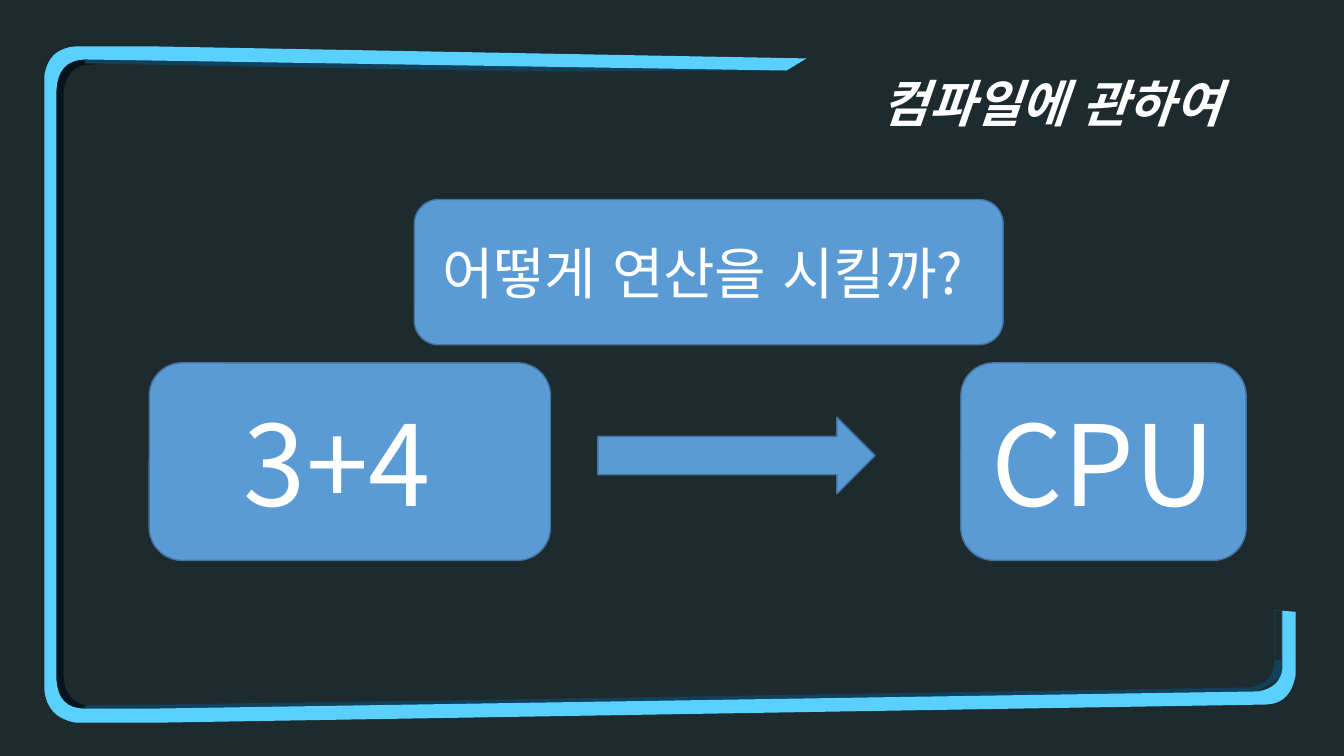
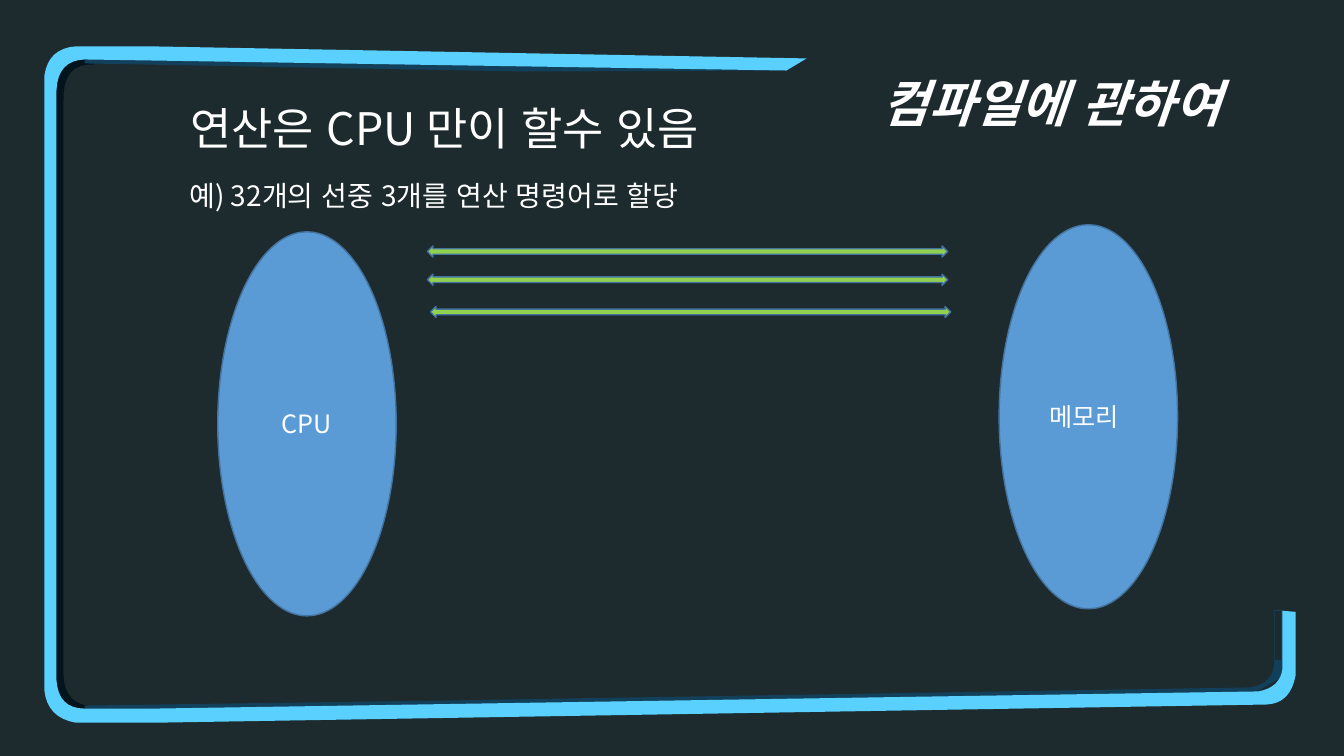
from lxml import etree
from pptx import Presentation
from pptx.dml.color import RGBColor
from pptx.enum.lang import MSO_LANGUAGE_ID
from pptx.enum.shapes import MSO_SHAPE
from pptx.enum.text import MSO_ANCHOR, PP_ALIGN
from pptx.oxml.ns import qn
from pptx.util import Inches, Pt

ROUND, OVAL = MSO_SHAPE.ROUNDED_RECTANGLE, MSO_SHAPE.OVAL
ARROW, DOUBLE = MSO_SHAPE.RIGHT_ARROW, MSO_SHAPE.LEFT_RIGHT_ARROW
CENTER, MIDDLE = PP_ALIGN.CENTER, MSO_ANCHOR.MIDDLE
KOREAN = MSO_LANGUAGE_ID.KOREAN

FONT = "Noto Sans CJK KR"
BACK, WHITE = "1D2B2E", "FFFFFF"
BLUE, EDGE, GREEN = "5B9BD5", "43739E", "92D050"
TITLE = "컴파일에 관하여"

# Frame outlines in inches: (x, y) is a corner,
# (cx, cy, x, y) a curve around a control point.
FRAME = [
    ("04141C", [(0.94, 0.59), (0.94, 0.64), (0.62, 0.62, 0.63, 1),
                (0.63, 6.7), (0.64, 7, 0.94, 7.01), (0.8, 7.05),
                (0.5, 7), (0.5, 0.6)]),
    ("12405A", [(0.84, 0.58), (7.8, 0.7), (5.2, 0.71), (0.84, 0.63)]),
    ("12405A", [(0.84, 7), (4.4, 6.95), (12.4, 6.82),
                (12.64, 6.78, 12.64, 6.55), (12.64, 6.05), (12.74, 6.05),
                (12.74, 6.7), (12.4, 6.9), (0.84, 7.06)]),
    (BACK, [(12.65, 6.06), (12.71, 6.06), (12.71, 6.55), (12.65, 6.55)]),
    ("5AD0FF", [(0.75, 0.46), (1.5, 0.46), (8, 0.58), (7.8, 0.7),
                (0.84, 0.59), (0.57, 0.6, 0.56, 0.9), (0.56, 6.75),
                (0.58, 7.03, 0.84, 7.03), (1.54, 7.03), (12.48, 6.86),
                (12.7, 6.82, 12.72, 6.63), (12.72, 6.06), (12.85, 6.07),
                (12.85, 6.7), (12.8, 6.98, 12.56, 6.99), (1.54, 7.17),
                (0.75, 7.17), (0.47, 7.12, 0.44, 6.85), (0.44, 0.75),
                (0.48, 0.48, 0.75, 0.46)]),
]

# kind, (left, top, width, height), words, size, space kept on the right
FLOW = [
    (ROUND, (1.48, 3.6, 3.98, 1.96), "3+4", 80, 0.25),
    (ARROW, (5.93, 4.14, 2.75, 0.76), "", 18, 0),
    (ROUND, (9.53, 3.6, 2.83, 1.96), "CPU", 80, 0),
    (ROUND, (4.11, 1.98, 5.84, 1.44), "어떻게 연산을 시킬까?", 40, 0.12),
]
UNITS = [
    (OVAL, (2.16, 2.3, 1.77, 3.81), "CPU", 18, 0),
    (OVAL, (9.91, 2.23, 1.77, 3.81), "메모리", 18, 0.08),
]
NOTES = [
    ((1.25, 0.95, 6.32, 0.64), "연산은 CPU 만이 할수 있음", 32, 0),
    ((1.12, 1.72, 6.45, 0.44), "예) 32개의 선중 3개를 연산 명령어로 할당", 20, 0.08),
]
WIRES = [(4.24, 2.44), (4.24, 2.72), (4.27, 3.04)]
WIRE_W, WIRE_H = 5.16, 0.11


def rgb(code):
    return RGBColor.from_string(code)


def paint(shape, fill, line=None):
    shape.shadow.inherit = False
    shape.fill.solid()
    shape.fill.fore_color.rgb = rgb(fill)
    if line:
        shape.line.color.rgb = rgb(line)
        shape.line.width = Pt(1)
    else:
        shape.line.fill.background()


def write(shape, words, size, gap=0, wrap=True, strong=False):
    frame = shape.text_frame
    frame.word_wrap = wrap
    frame.margin_right = Inches(0.1 + gap)
    para = frame.paragraphs[0]
    para.alignment = CENTER
    run = para.add_run()
    run.text = words
    font = run.font
    font.size, font.name = Pt(size), FONT
    font.language_id = KOREAN
    font.color.rgb = rgb(WHITE)
    if strong:
        font.bold = font.italic = True
    east = etree.SubElement(run._r.get_or_add_rPr(), qn("a:ea"))
    east.set("typeface", FONT)
    return para


def add_text(slide, area, words, size, gap=0, strong=False):
    box = slide.shapes.add_textbox(*map(Inches, area))
    return write(box, words, size, gap, strong=strong)


def add_node(slide, kind, area, words="", size=18, gap=0, fill=BLUE):
    node = slide.shapes.add_shape(kind, *map(Inches, area))
    paint(node, fill, EDGE)
    if words:
        node.text_frame.vertical_anchor = MIDDLE
        write(node, words, size, gap, wrap=False)


def trace(path, steps=8):
    """Turn corners and curves into a plain list of points."""
    points = []
    for *bend, x, y in path:
        if bend:
            (px, py), (cx, cy) = points[-1], bend
            for i in range(1, steps):
                t = i / steps
                a, b, c = (1 - t) ** 2, 2 * t * (1 - t), t * t
                points.append((a * px + b * cx + c * x,
                               a * py + b * cy + c * y))
        points.append((x, y))
    return points


def add_slide(deck):
    """Add a slide with the shared background, frame and title."""
    slide = deck.slides.add_slide(deck.slide_layouts[6])
    slide.background.fill.solid()
    slide.background.fill.fore_color.rgb = rgb(BACK)
    for fill, path in FRAME:
        first, *rest = [(Inches(x), Inches(y)) for x, y in trace(path)]
        pen = slide.shapes.build_freeform(*first)
        pen.add_line_segments(rest, close=True)
        paint(pen.convert_to_shape(), fill)
    title = add_text(slide, (8.32, 0.37, 4.21, 0.89), TITLE, 36, strong=True)
    title.line_spacing = 1.5
    return slide


def main():
    deck = Presentation()
    deck.slide_width, deck.slide_height = Inches(13.33), Inches(7.5)

    slide = add_slide(deck)
    for node in FLOW:
        add_node(slide, *node)

    slide = add_slide(deck)
    for note in NOTES:
        add_text(slide, *note)
    for node in UNITS:
        add_node(slide, *node)
    for left, top in WIRES:
        add_node(slide, DOUBLE, (left, top, WIRE_W, WIRE_H), fill=GREEN)

    deck.save("out.pptx")


if __name__ == "__main__":
    main()
